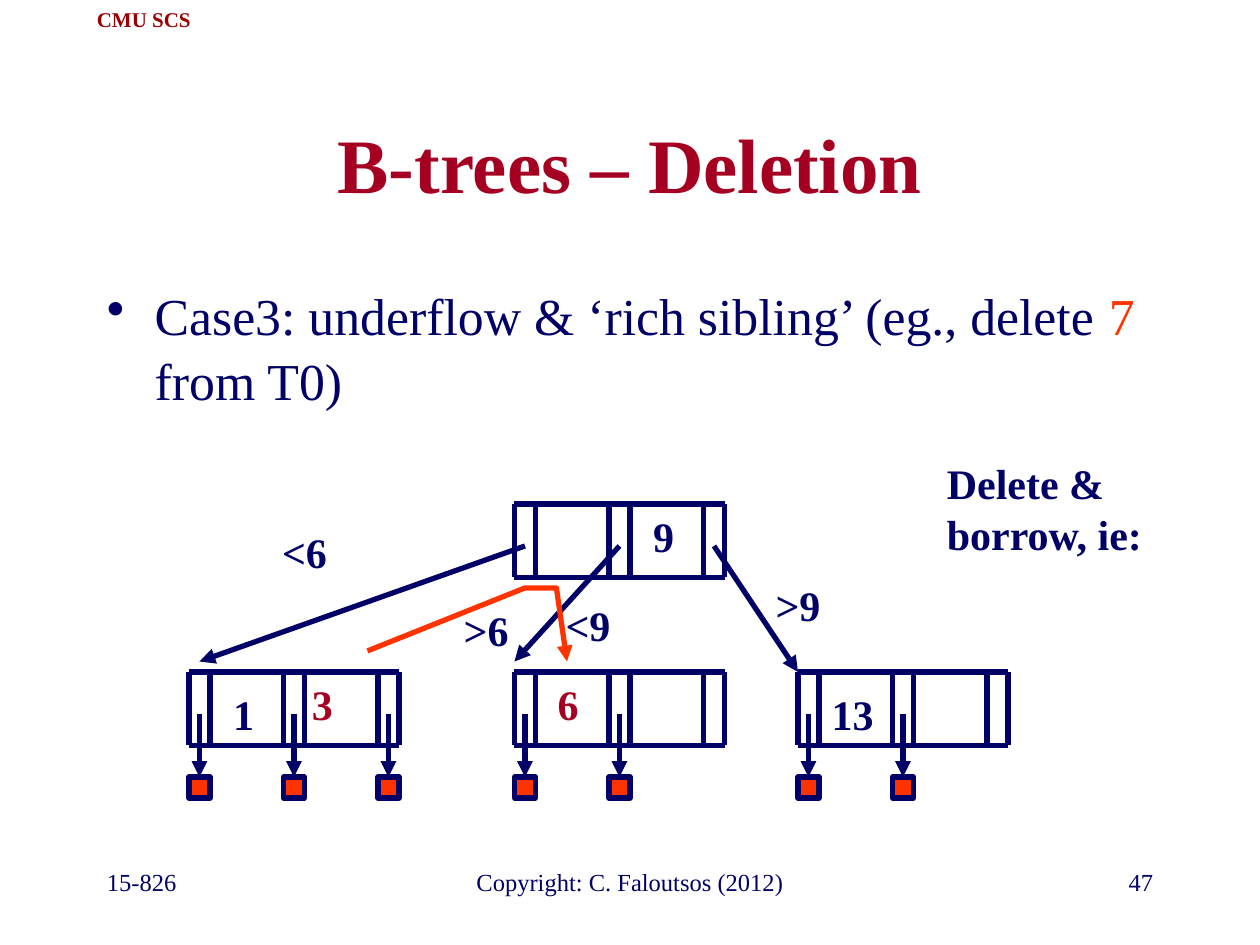
import pptx
import pptx.dml.color
import pptx.enum.shapes
import pptx.enum.text
import pptx.oxml
import pptx.oxml.ns
import pptx.util

UNIT = pptx.util.Inches(1) / 12
NAVY, RED, WINE = "000066", "FF3300", "A50021"
LEFT, MID, RIGHT = (getattr(pptx.enum.text.PP_ALIGN, n) for n in ("LEFT", "CENTER", "RIGHT"))
NODE_W, NODE_H, SLOT, STEP = 20, 7, 2, 9


def grid(*cells):
    """Turn grid units of a twelfth of an inch into lengths."""
    return [pptx.util.Emu(round(c * UNIT)) for c in cells]


def tint(code):
    """Give the colour for a hex string."""
    return pptx.dml.color.RGBColor.from_string(code)


def add_tag(parent, name, **attrs):
    """Append a drawing element with the given attributes."""
    tag = pptx.oxml.parse_xml(f"<a:{name} {pptx.oxml.ns.nsdecls('a')}/>")
    for key, value in attrs.items():
        tag.set(key, value)
    parent.append(tag)
    return tag


def ink(line, code, arrow=False):
    """Style a line, with an arrowhead at its end if asked."""
    line.color.rgb = tint(code)
    line.width = pptx.util.Pt(3)
    if arrow:
        add_tag(line._get_or_add_ln(), "tailEnd", type="triangle")


def add_line(shapes, start, end, arrow=False):
    """Draw a straight navy line between two grid points."""
    kind = pptx.enum.shapes.MSO_CONNECTOR.STRAIGHT
    line = shapes.add_connector(kind, *grid(*start, *end))
    ink(line.line, NAVY, arrow)
    add_tag(line._element.spPr, "effectLst")
    return line


def add_text(slide, box, runs, size, align=MID, bold=False, middle=False):
    """Place a text box of coloured runs and return its paragraph."""
    frame = slide.shapes.add_textbox(*grid(*box)).text_frame
    frame.word_wrap = True
    if middle:
        frame.vertical_anchor = pptx.enum.text.MSO_ANCHOR.MIDDLE
    para = frame.paragraphs[0]
    para.alignment = align
    for words, code in runs:
        run = para.add_run()
        run.text = words
        run.font.name = "Times New Roman"
        run.font.size = pptx.util.Pt(size)
        run.font.bold = bold
        run.font.color.rgb = tint(code)
    return para


def add_head(slide):
    """Place the corner mark and the title."""
    add_text(slide, (6.7, 0, 14, 3.6), [("CMU SCS", "990000")], 12, bold=True, middle=True)
    add_text(slide, (9, 8, 102, 15), [("B-trees – Deletion", WINE)], 44, bold=True, middle=True)


def add_foot(slide, top):
    """Place the three footer texts in one row."""
    for left, width, words, align in (
        (9, 25, "15-826", LEFT),
        (41, 38, "Copyright: C. Faloutsos (2012)", MID),
        (86, 25, "47", RIGHT),
    ):
        add_text(slide, (left, top, width, 6), [(words, NAVY)], 14, align)


def add_body(slide, box):
    """Place the bulleted case text."""
    runs = [
        ("Case3: underflow & ‘rich sibling’ (eg., delete ", NAVY),
        ("7", RED),
        (" from T0)", NAVY),
    ]
    para = add_text(slide, box, runs, 29.6, LEFT)
    para.line_spacing = 1.04
    props = para._p.get_or_add_pPr()
    props.set("marL", str(pptx.util.Inches(0.38)))
    props.set("indent", str(-pptx.util.Inches(0.38)))
    add_tag(add_tag(props, "buClr"), "srgbClr", val=NAVY)
    add_tag(props, "buChar", char="•")


def add_node(slide, left, top):
    """Draw a tree node with three pointer slots and two key cells."""
    shapes = slide.shapes.add_group_shape().shapes
    for slot in range(3):
        for x in (left + slot * STEP, left + slot * STEP + SLOT):
            add_line(shapes, (x, top), (x, top + NODE_H))
    for y in (top, top + NODE_H):
        add_line(shapes, (left, y), (left + NODE_W, y))


def add_leaf(slide, left, top, count):
    """Draw a leaf node whose pointers lead to record squares."""
    add_node(slide, left, top)
    kind = pptx.enum.shapes.MSO_SHAPE.RECTANGLE
    for slot in range(count):
        x = left + slot * STEP
        rec = slide.shapes.add_shape(kind, *grid(x, top + 10, SLOT, SLOT))
        rec.shadow.inherit = False
        rec.fill.solid()
        rec.fill.fore_color.rgb = tint(RED)
        ink(rec.line, NAVY)
        link = add_line(slide.shapes, (x + 1, top + 4), (x + 1, top + 10), True)
        link.end_connect(rec, 0)


def add_path(slide, start, *points):
    """Draw the red arrow of the borrowed key."""
    pen = slide.shapes.build_freeform(*start, scale=UNIT)
    pen.add_line_segments(points, close=False)
    path = pen.convert_to_shape()
    path.shadow.inherit = False
    path.fill.background()
    ink(path.line, RED, True)


def add_tree(slide, root, row):
    """Draw the root, its leaves, their links, keys and labels."""
    left, top = root
    add_node(slide, left, top)
    for x, count in ((76, 2), (left, 2), (18, 3)):
        add_leaf(slide, x, row, count)
    for slot, end in enumerate(((19, row - 1), (left, row - 1), (76, row))):
        add_line(slide.shapes, (left + 1 + slot * STEP, top + 4), end, True)
    for words, x, y, code in (
        ("1", 23.2, row + 1, NAVY),
        ("3", 30.7, row, WINE),
        ("9", 63.2, top, NAVY),
        ("13", 81.2, row + 1, NAVY),
        ("<6", 29, 49.6, NAVY),
        (">6", 46.3, 57, NAVY),
        ("<9", 56, 56.5, NAVY),
        (">9", 76, 54.6, NAVY),
        ("6", 54.1, row, WINE),
    ):
        add_text(slide, (x - 4, y, 8, 6), [(words, code)], 24, bold=True)
    add_path(slide, (35, row - 2), (50, 56), (53, 56), (54, row - 1))


def main():
    """Build the slide and save it."""
    deck = pptx.Presentation()
    deck.slide_width, deck.slide_height = grid(120, 90)
    slide = deck.slides.add_slide(deck.slide_layouts[6])
    add_head(slide)
    add_body(slide, (9, 26.2, 103, 14))
    add_tree(slide, (49, 48), 64)
    add_text(slide, (89, 43, 28, 10.8), [("Delete & borrow, ie:", NAVY)], 24, LEFT, True)
    add_foot(slide, 82)
    deck.save("out.pptx")


if __name__ == "__main__":
    main()
